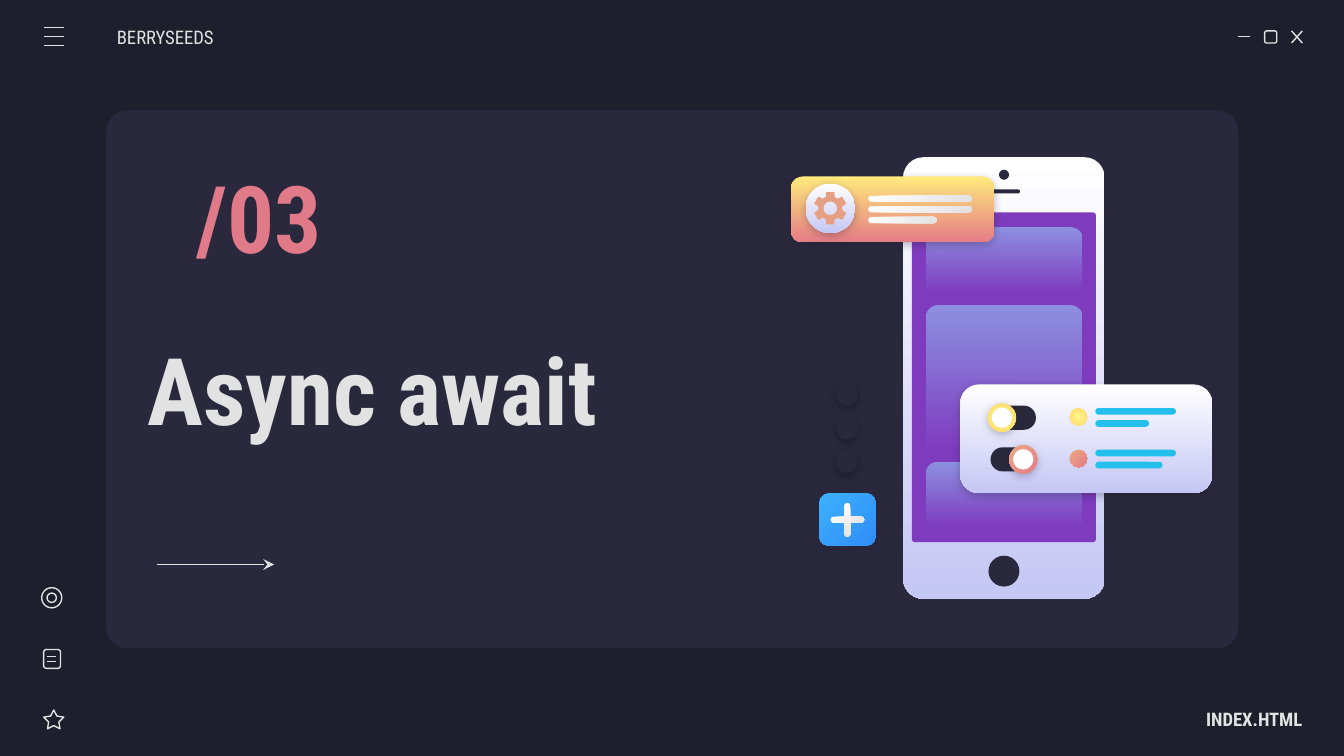
import math
from dataclasses import dataclass

from lxml import etree
from pptx import Presentation
from pptx import util as u
from pptx.dml.color import RGBColor
from pptx.enum import shapes, text
from pptx.oxml.ns import qn

SHAPE = shapes.MSO_SHAPE


@dataclass(frozen=True)
class Theme:
    """Colours, gradients (start, end, clockwise angle or None for radial) and type sizes."""
    font: str = "Roboto Condensed"
    label_size: int = 10
    display_size: int = 50
    hairline: float = 0.75
    night: str = "1E1E2C"
    panel: str = "29283D"
    light: str = "E2E2E2"
    rose: str = "E07A88"
    violet: str = "7E3BBE"
    orange: str = "E5A083"
    cyan: str = "24BFEB"
    white: str = "FFFFFF"
    black: str = "000000"
    lavender: tuple = ("FFFFFF", "C5C7F4", 90)
    dusk: tuple = ("8D90E1", "7E3BBE", 90)
    sunset: tuple = ("FFEA7D", "E57C85", 90)
    silver: tuple = ("FFFFFF", "E2E2E2", 45)
    coral: tuple = ("E9A984", "E57C85", 45)
    sky: tuple = ("3DB0FD", "308EF7", 45)
    sun: tuple = ("FFF68E", "FFD966", None)


class Canvas:
    """Draws on one slide with a square grid of 100 columns by 56.25 rows."""

    def __init__(self, slide, theme):
        self.slide, self.theme = slide, theme
        self.cell = u.Inches(0.1)
        slide.background.fill.solid()
        slide.background.fill.fore_color.rgb = RGBColor.from_string(theme.night)

    def grid(self, *cells):
        """Turn grid cells into lengths."""
        return [u.Emu(round(cell * self.cell)) for cell in cells]

    def paint(self, item, fill=None, line=None, shadow=None):
        """Set fill, outline and shadow of a shape."""
        if fill is None:
            item.fill.background()
        elif isinstance(fill, str):
            item.fill.solid()
            item.fill.fore_color.rgb = RGBColor.from_string(fill)
        else:
            self.blend(item, *fill)
        if line:
            item.line.color.rgb = RGBColor.from_string(line)
            item.line.width = u.Pt(self.theme.hairline)
        else:
            item.line.fill.background()
        item.shadow.inherit = False
        if shadow:
            effects = item._element.spPr.find(qn("a:effectLst"))
            outer = etree.SubElement(effects, qn("a:outerShdw"), {
                "blurRad": str(u.Pt(4.5)), "dist": str(u.Pt(1.5)),
                "dir": "5400000", "algn": "bl", "rotWithShape": "0"})
            tint = etree.SubElement(outer, qn("a:srgbClr"), val=shadow)
            etree.SubElement(tint, qn("a:alpha"), val="27000")
        return item

    def blend(self, item, start, end, angle):
        """Fill a shape with a linear or radial gradient."""
        item.fill.gradient()
        for stop, colour, position in zip(item.fill.gradient_stops, (start, end), (0, 1)):
            stop.color.rgb = RGBColor.from_string(colour)
            stop.position = position
        if angle is not None:
            item.fill.gradient_angle = 360 - angle
            return
        gradient = item._element.spPr.find(qn("a:gradFill"))
        gradient.remove(gradient.find(qn("a:lin")))
        radial = etree.SubElement(gradient, qn("a:path"), {"path": "circle"})
        etree.SubElement(radial, qn("a:fillToRect"), dict.fromkeys("ltrb", "50000"))

    def preset(self, kind, at, turn=0, **style):
        """Add a preset shape."""
        item = self.slide.shapes.add_shape(kind, *self.grid(*at))
        item.rotation = turn
        return self.paint(item, **style)

    def rounded(self, at, radius=None, **style):
        """Add a rounded box; without a radius its ends are half circles."""
        item = self.preset(SHAPE.ROUNDED_RECTANGLE, at, **style)
        item.adjustments[0] = 0.5 if radius is None else radius / min(at[2:])
        return item

    def disc(self, x, y, size, **style):
        """Add a circle around a centre."""
        return self.preset(SHAPE.OVAL, (x - size / 2, y - size / 2, size, size), **style)

    def rule(self, x1, y1, x2, y2, arrow=False):
        """Add a hairline, with an arrowhead if asked."""
        stroke = self.slide.shapes.add_connector(
            shapes.MSO_CONNECTOR.STRAIGHT, *self.grid(x1, y1, x2, y2))
        stroke.line.color.rgb = RGBColor.from_string(self.theme.light)
        stroke.line.width = u.Pt(self.theme.hairline)
        if arrow:
            etree.SubElement(stroke.line._get_or_add_ln(), qn("a:tailEnd"), type="stealth")
        etree.SubElement(stroke._element.spPr, qn("a:effectLst"))

    def gear(self, x, y, teeth, root, tip, hole, fill):
        """Add a cog wheel with a round hole."""
        def ring(steps):
            return [tuple(self.grid(x + r * math.sin(math.radians(a)),
                                    y - r * math.cos(math.radians(a)))) for a, r in steps]
        step = 360 / teeth
        rim = ring((tooth * step + shift, r) for tooth in range(teeth)
                   for shift, r in ((-22, root), (-14, tip), (14, tip), (22, root)))
        centre = ring((-a, hole) for a in range(0, 360, 10))
        outline = self.slide.shapes.build_freeform(*rim[0], scale=1.0)
        outline.add_line_segments(rim[1:], close=True)
        outline.move_to(*centre[0])
        outline.add_line_segments(centre[1:], close=True)
        self.paint(outline.convert_to_shape(), fill=fill)

    def words(self, wording, at, size, colour=None, bold=True, align="LEFT",
              insets=(1, 1), holder=None):
        """Write a line of text in front, in a placeholder or a new box."""
        box = holder or self.slide.shapes.add_textbox(*self.grid(*at))
        box._element.getparent().append(box._element)
        box.left, box.top, box.width, box.height = self.grid(*at)
        frame = box.text_frame
        frame.text = wording
        frame.word_wrap = True
        frame.auto_size = text.MSO_AUTO_SIZE.NONE
        frame.vertical_anchor = text.MSO_ANCHOR.MIDDLE
        frame.margin_left, frame.margin_right = self.grid(*insets)
        frame.margin_top = frame.margin_bottom = self.cell
        line = frame.paragraphs[0]
        line.alignment = text.PP_ALIGN[align]
        line.font.name, line.font.size, line.font.bold = self.theme.font, u.Pt(size), bold
        line.font.color.rgb = RGBColor.from_string(colour or self.theme.light)


deck = Presentation()
deck.slide_width, deck.slide_height = u.Inches(10), u.Inches(10 * 9 / 16)
theme = Theme()
page = Canvas(deck.slides.add_slide(deck.slide_layouts[5]), theme)

page.rounded((7.9, 8.2, 84.25, 40.05), 1.6, fill=theme.panel)
page.rule(92.1, 2.7, 93, 2.7)
page.rounded((94.1, 2.3, 0.9, 0.9), 0.15, line=theme.light)
page.rule(96.1, 2.3, 96.9, 3.2)
page.rule(96.9, 2.3, 96.1, 3.2)

page.words("BERRYSEEDS", (8.7, 1.25, 11.7, 3), theme.label_size, bold=False, insets=(0, 1))
for row in range(3):
    page.rule(3.25, 2.03 + row * 0.68, 4.75, 2.03 + row * 0.68)
star = page.preset(SHAPE.STAR_5_POINT, (3.25, 52.83, 1.5, 1.4), line=theme.light)
star.adjustments[0] = 0.254
page.rounded((3.25, 48.33, 1.25, 1.4), 0.2, line=theme.light)
for y in (48.83, 49.23):
    page.rule(3.5, y, 4.2, y)
for size in (1.5, 0.7):
    page.disc(3.85, 44.48, size, line=theme.light)

page.words("INDEX.HTML", (85.2, 52, 11.7, 3), theme.label_size, align="RIGHT", insets=(1, 0))
page.words("Async await", (10, 20.7, 46.8, 16.4), theme.display_size,
           holder=page.slide.shapes.title)
page.words("/03", (10.4, 11.5, 17.8, 9.2), theme.display_size, theme.rose, align="CENTER")
page.rule(11.7, 42, 20.4, 42, arrow=True)

page.rounded((67.2, 11.7, 15, 32.85), 1.5, fill=theme.lavender)
page.disc(74.7, 13, 0.75, fill=theme.panel)
page.rounded((73.5, 14.1, 2.4, 0.3), fill=theme.panel)
page.rounded((67.85, 15.8, 13.7, 24.55), 0.25, fill=theme.violet)
page.disc(74.7, 42.5, 2.3, fill=theme.panel)
for y, height in ((16.9, 4.9), (22.7, 10.9), (34.35, 4.9)):
    page.rounded((68.9, y, 11.65, height), 0.9, fill=theme.dusk)

page.rounded((58.85, 13.13, 15.15, 4.9), 0.9, fill=theme.sunset, shadow=theme.night)
page.disc(61.78, 15.5, 3.68, fill=theme.lavender, shadow=theme.night)
page.gear(61.78, 15.5, teeth=6, root=0.9, tip=1.24, hole=0.5, fill=theme.orange)
for row, width in enumerate((7.7, 7.7, 5.1)):
    page.rounded((64.6, 14.55 + row * 0.8, width, 0.45), fill=theme.silver)

page.rounded((71.45, 28.6, 18.75, 8.1), 1.4, fill=theme.lavender, shadow=theme.night)
for y, knob, colour, short in ((31.08, 74.55, theme.sun, 4), (34.18, 76.13, theme.coral, 5)):
    page.rounded((73.7, y - 0.9, 3.38, 1.8), fill=theme.panel)
    page.disc(knob, y, 2.1, fill=colour, shadow=theme.night)
    page.disc(knob, y, 1.5, fill=theme.white)
    page.disc(80.25, y - 0.05, 1.3, fill=colour)
    for drop, width in ((-0.72, 6), (0.18, short)):
        page.rounded((81.5, y + drop, width, 0.5), fill=theme.cyan)

page.rounded((60.95, 36.7, 4.2, 3.9), 0.7, fill=theme.sky, shadow=theme.night)
for turn in (0, 90):
    page.rounded((61.8, 38.45, 2.5, 0.45), turn=turn, fill=theme.silver)
for row in range(3):
    page.disc(63.03, 29.4 + row * 2.5, 1.6, fill=theme.panel, shadow=theme.black)

deck.save("out.pptx")
